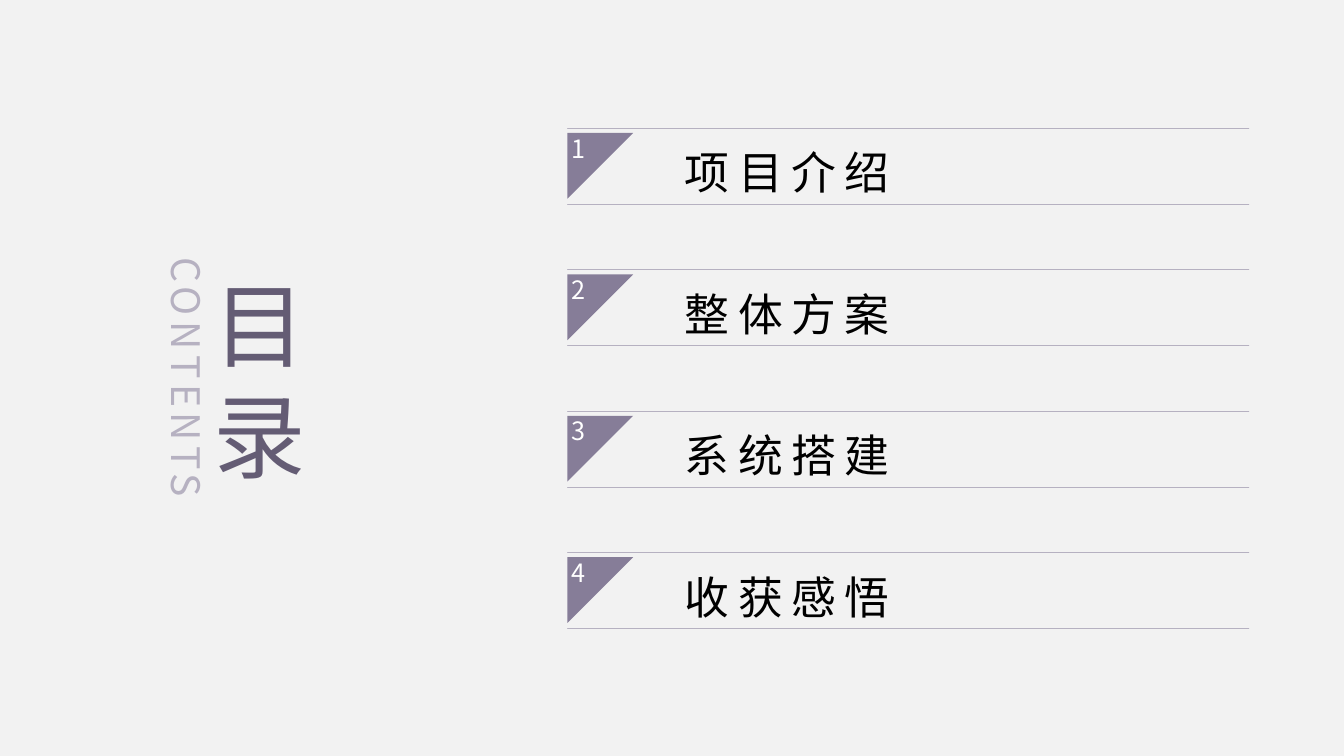
from dataclasses import dataclass

from lxml import etree
from pptx import Presentation
from pptx import util as u
from pptx.dml.color import RGBColor
from pptx.enum import text
from pptx.oxml import ns

Pt = u.Pt
FONT = "Noto Sans CJK SC"
MAUVE, LILAC, PLUM = "867D98", "B6B1C1", "645C74"
LEFT, TOP, PITCH = 405.3, 91.5, 101
BAR_W, BAR_H = 486.8, 54.2
TAB_DROP, TAB_SIZE = 3.5, 47


@dataclass
class Entry:
    number: int
    title: str


@dataclass
class Style:
    size: float
    color: str
    spacing: float = 0
    line_spacing: float = 1.0
    align: text.PP_ALIGN = text.PP_ALIGN.LEFT


ENTRIES = [
    Entry(n, title)
    for n, title in enumerate(["项目介绍", "整体方案", "系统搭建", "收获感悟"], 1)
]
ENTRY_STYLE = Style(32, "000000", spacing=6, line_spacing=1.3)
NUMBER_STYLE = Style(18, "FFFFFF")
TITLE_STYLE = Style(66, PLUM, align=text.PP_ALIGN.CENTER)
SIDE_STYLE = Style(28, LILAC, spacing=4, align=text.PP_ALIGN.CENTER)


def paint(color_holder, color: str) -> None:
    """Apply a solid hex colour to a fill."""
    color_holder.solid()
    color_holder.fore_color.rgb = RGBColor.from_string(color)


def write(tf, lines: list[str], style: Style, **frame) -> None:
    """Fill a text frame with one styled paragraph per line."""
    for name, value in frame.items():
        setattr(tf, name, value)
    for i, line in enumerate(lines):
        p = tf.paragraphs[0] if i == 0 else tf.add_paragraph()
        for name, value in {
            "alignment": style.align,
            "line_spacing": style.line_spacing,
        }.items():
            setattr(p, name, value)
        r = p.add_run()
        r.text = line
        paint(r.font.fill, style.color)
        for name, value in {"size": Pt(style.size), "name": FONT}.items():
            setattr(r.font, name, value)
        rPr = r.font._element
        etree.SubElement(rPr, ns.qn("a:ea")).set("typeface", FONT)
        if style.spacing:
            rPr.set("spc", str(int(style.spacing * 100)))


def outline(s, contours: list[list[tuple[float, float]]]):
    """Build a freeform from closed contours given in points."""
    paths = [[(Pt(x), Pt(y)) for x, y in contour] for contour in contours]
    builder = s.shapes.build_freeform(*paths[0][0])
    for i, path in enumerate(paths):
        if i:
            builder.move_to(*path[0])
        builder.add_line_segments(path[1:], close=True)
    sp = builder.convert_to_shape()
    sp.shadow.inherit = False
    return sp


def draw_entry(s, entry: Entry, top: float) -> None:
    # Rules above and below the entry title
    right = LEFT + BAR_W
    bar = outline(s, [[(LEFT, y), (right, y)] for y in (top + BAR_H, top)])
    bar.fill.background()
    paint(bar.line.fill, LILAC)
    bar.line.width = Pt(0.25)
    write(bar.text_frame, [entry.title], ENTRY_STYLE, word_wrap=True,
          vertical_anchor=text.MSO_ANCHOR.MIDDLE, margin_left=Pt(84),
          margin_top=0, margin_right=0, margin_bottom=Pt(3))

    # Numbered corner
    y = top + TAB_DROP
    corner = outline(s, [[(LEFT, y), (LEFT + TAB_SIZE, y), (LEFT, y + TAB_SIZE)]])
    paint(corner.fill, MAUVE)
    corner.line.fill.background()
    write(corner.text_frame, [str(entry.number)], NUMBER_STYLE, word_wrap=True,
          vertical_anchor=text.MSO_ANCHOR.TOP, margin_left=Pt(3),
          margin_top=0, margin_right=0, margin_bottom=Pt(34))


def main() -> None:
    prs = Presentation()
    prs.slide_width, prs.slide_height = Pt(960), Pt(540)
    s = prs.slides.add_slide(prs.slide_layouts[5])
    paint(s.background.fill, "F2F2F2")

    # Contents entries
    for i, entry in enumerate(ENTRIES):
        draw_entry(s, entry, TOP + i * PITCH)

    # Heading
    title = s.shapes.title
    for name, value in {"left": 129, "top": 162, "width": 113, "height": 217}.items():
        setattr(title, name, Pt(value))
    write(title.text_frame, ["目", "录"], TITLE_STYLE, word_wrap=True,
          auto_size=text.MSO_AUTO_SIZE.NONE,
          vertical_anchor=text.MSO_ANCHOR.MIDDLE, margin_left=0,
          margin_top=0, margin_right=0, margin_bottom=0)

    # Sideways caption
    side = s.shapes.add_textbox(Pt(-12.2), Pt(249), Pt(291), Pt(41))
    side.rotation = 90
    write(side.text_frame, ["CONTENTS"], SIDE_STYLE, word_wrap=True,
          auto_size=text.MSO_AUTO_SIZE.SHAPE_TO_FIT_TEXT)

    prs.save("out.pptx")


if __name__ == "__main__":
    main()
